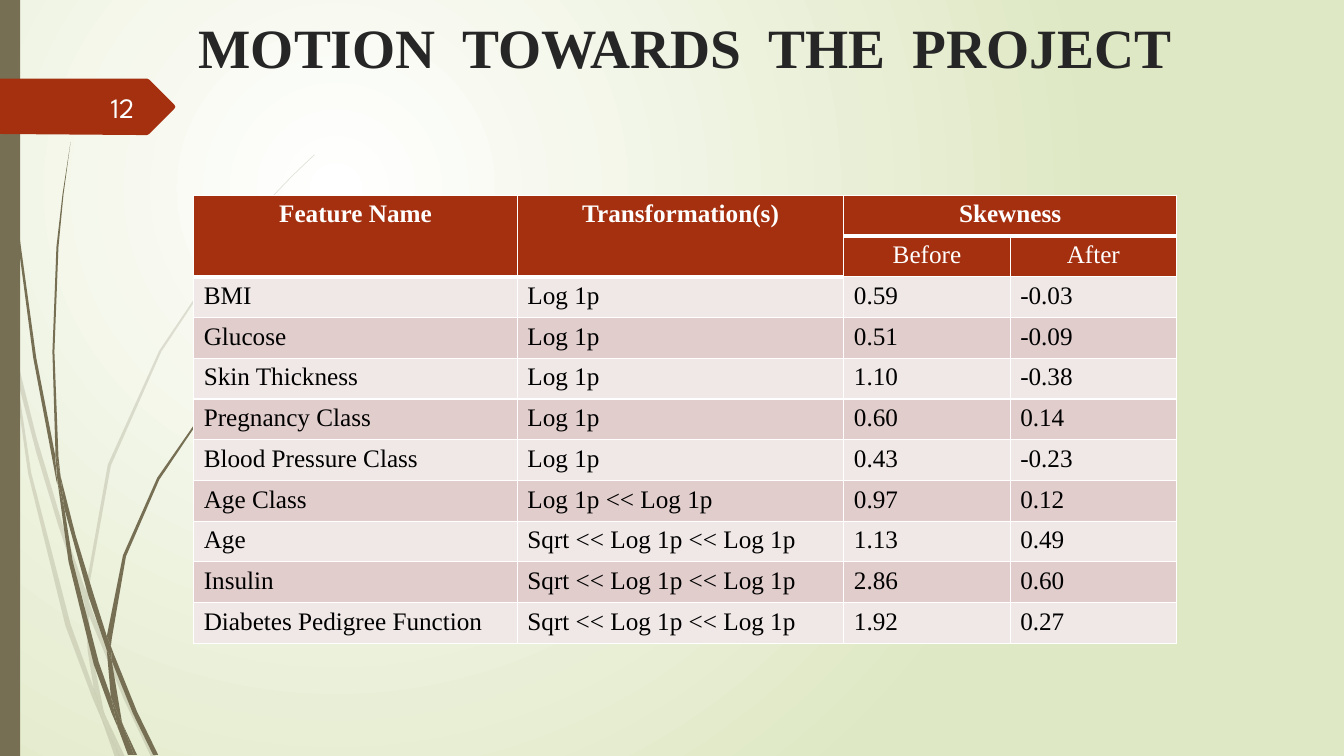
"""Build the skewness table slide with its grass backdrop and page tag."""
import dataclasses

import lxml.etree
import pptx
import pptx.dml.color
import pptx.enum.shapes
import pptx.enum.text
import pptx.oxml
import pptx.oxml.ns
import pptx.util

Pt = pptx.util.Pt
RGB = pptx.dml.color.RGBColor.from_string
qn = pptx.oxml.ns.qn
ALIGN = pptx.enum.text.PP_ALIGN
MIDDLE = pptx.enum.text.MSO_ANCHOR.MIDDLE


@dataclasses.dataclass(frozen=True)
class Theme:
    white: str = "FFFFFF"
    glow: str = "DFE8C4"
    grass: str = "766F54"
    rust: str = "A53010"
    bands: tuple = ("F0E8E7", "E1CDCC")
    ink: str = "000000"
    heading: str = "262626"
    number: str = "FEFFFF"
    serif: str = "Times New Roman"
    sans: str = "League Spartan"
    title_size: float = 39.6
    number_size: float = 20
    table_size: float = 18


theme = Theme()


def write(frame, text, size, color, font=theme.serif, bold=False, align=ALIGN.LEFT):
    line = frame.paragraphs[0]
    line.alignment = align
    run = line.add_run()
    run.text = text
    run.font.name = font
    run.font.size = Pt(size)
    run.font.bold = bold
    run.font.color.rgb = RGB(color)


def outline(points, color, opacity=100):
    builder = slide.shapes.build_freeform(*points[0], scale=Pt(0.72))
    builder.add_line_segments(points[1:], close=True)
    figure = builder.convert_to_shape()
    figure.shadow.inherit = False
    figure.line.fill.background()
    figure.fill.solid()
    figure.fill.fore_color.rgb = RGB(color)
    if opacity < 100:
        tint = figure._element.spPr.find(qn("a:solidFill"))[0]
        lxml.etree.SubElement(tint, qn("a:alpha"), val=str(opacity * 1000))


deck = pptx.Presentation()
deck.slide_width = Pt(960)
deck.slide_height = Pt(540)
slide = deck.slides.add_slide(deck.slide_layouts[5])

backdrop = slide.background.fill
backdrop.gradient()
for stop, color in zip(backdrop.gradient_stops, (theme.white, theme.glow)):
    stop.color.rgb = RGB(color)
gradient = slide.background._cSld.find(".//" + qn("a:gradFill"))
linear = gradient.find(qn("a:lin"))
radial = lxml.etree.Element(qn("a:path"), {"path": "circle"})
lxml.etree.SubElement(radial, qn("a:fillToRect"), l="50000", t="50000", r="100000", b="100000")
gradient.replace(linear, radial)

pale_blades = [
    [(11, 350), (9, 322), (0, 282), (0, 299), (10, 344)],
    [(58, 522), (84, 599), (85, 586), (62, 520), (36, 433), (14, 345), (17, 376), (36, 449)],
    [(92, 607), (88, 596), (88, 610), (123, 694), (150, 751), (155, 751), (127, 692)],
    [(119, 751), (124, 751), (105, 711)],
    [(93, 683), (70, 619), (31, 469), (17, 376), (11, 350), (28, 470), (65, 621), (92, 693),
     (101, 714), (99, 707)],
    [(84, 599), (87, 646), (93, 683), (96, 692), (105, 711), (103, 706), (91, 646), (88, 610),
     (88, 608)],
    [(88, 584), (110, 462), (160, 349), (229, 245), (268, 198), (290, 175), (312, 154), (312, 153),
     (289, 175), (268, 197), (228, 244), (158, 348), (107, 461), (85, 584), (85, 586), (88, 596)],
    [(101, 714), (114, 751), (119, 751)],
    [(88, 608), (88, 610), (88, 596), (85, 586), (84, 599)],
    [(96, 692), (93, 683), (99, 707), (101, 714), (119, 751), (105, 711)],
]
dark_blades = [
    [(7, 110), (17, 233), (33, 355), (56, 477), (57, 481), (55, 457), (55, 453), (36, 355),
     (19, 232), (8, 109), (5, 48), (4, 0), (3, 0), (4, 48)],
    [(88, 592), (106, 645), (106, 633), (106, 631), (93, 590), (75, 531), (60, 472), (64, 505)],
    [(113, 649), (110, 641), (111, 656), (132, 708), (152, 749), (157, 749), (136, 706)],
    [(110, 691), (98, 657), (72, 556), (64, 505), (57, 477), (68, 557), (93, 659), (111, 708),
     (117, 722), (116, 717)],
    [(60, 472), (58, 453), (54, 349), (58, 245), (63, 193), (70, 141), (62, 193), (56, 245),
     (52, 349), (55, 449)],
    [(133, 749), (136, 749), (122, 719)],
    [(57, 477), (64, 505), (60, 472), (55, 449), (55, 453)],
    [(111, 633), (125, 552), (158, 476), (205, 406), (231, 374), (245, 359), (261, 344), (260, 344),
     (245, 358), (231, 373), (204, 405), (156, 474), (122, 551), (106, 631), (110, 641)],
    [(117, 722), (127, 749), (131, 749)],
    [(106, 645), (110, 691), (116, 706), (122, 719), (121, 716), (111, 656), (109, 651)],
    [(106, 645), (109, 651), (111, 656), (110, 641), (106, 631), (106, 633)],
    [(116, 706), (110, 691), (116, 717), (117, 722), (130, 749), (133, 749), (122, 719)],
]
for blades, opacity in ((pale_blades, 20), (dark_blades, 100)):
    for blade in blades:
        outline(blade, theme.grass, opacity)

stem = slide.shapes.add_shape(pptx.enum.shapes.MSO_SHAPE.RECTANGLE, 0, 0, Pt(14.4), Pt(540))
stem.shadow.inherit = False
stem.fill.solid()
stem.fill.fore_color.rgb = RGB(theme.grass)
stem.line.fill.background()

page_tag = [(0, 78), (146, 78), (148, 79), (173, 104), (174, 106), (173, 108), (148, 133),
            (146, 134), (136, 134), (0, 133)]
outline(page_tag, theme.rust)

features = [
    ("BMI", "Log 1p", "0.59", "-0.03"),
    ("Glucose", "Log 1p", "0.51", "-0.09"),
    ("Skin Thickness", "Log 1p", "1.10", "-0.38"),
    ("Pregnancy Class", "Log 1p", "0.60", "0.14"),
    ("Blood Pressure Class", "Log 1p", "0.43", "-0.23"),
    ("Age Class", "Log 1p << Log 1p", "0.97", "0.12"),
    ("Age", "Sqrt << Log 1p << Log 1p", "1.13", "0.49"),
    ("Insulin", "Sqrt << Log 1p << Log 1p", "2.86", "0.60"),
    ("Diabetes Pedigree Function", "Sqrt << Log 1p << Log 1p", "1.92", "0.27"),
]
headings = [("Feature Name", "Transformation(s)", "Skewness", ""), ("", "", "Before", "After")]
rows = headings + features
skewness = slide.shapes.add_table(len(rows), 4, Pt(138.4), Pt(139.6), Pt(702), Pt(320.1)).table
skewness.first_row = False
skewness.horz_banding = False
for column, width in zip(skewness.columns, (231.2, 233.2, 118.8, 118.8)):
    column.width = Pt(width)
for row in skewness.rows:
    row.height = Pt(29.1)
for top, left, bottom, right in ((0, 0, 1, 0), (0, 1, 1, 1), (0, 2, 0, 3)):
    skewness.cell(top, left).merge(skewness.cell(bottom, right))

for r, entries in enumerate(rows):
    heading = r < len(headings)
    for c, entry in enumerate(entries):
        cell = skewness.cell(r, c)
        edges = cell._tc.get_or_add_tcPr()
        for side in "LRTB":
            thick = (side == "B" and (r == 0 or r == 1 and c < 2)) or (side == "T" and r == 1 and c > 1)
            width = Pt(3 if thick else 1)
            edge = lxml.etree.SubElement(edges, qn("a:ln" + side), w=str(width))
            paint = lxml.etree.SubElement(edge, qn("a:solidFill"))
            lxml.etree.SubElement(paint, qn("a:srgbClr"), val=theme.white)
        cell.fill.solid()
        cell.fill.fore_color.rgb = RGB(theme.rust if heading else theme.bands[r % 2])
        if entry:
            write(cell.text_frame, entry, theme.table_size, theme.white if heading else theme.ink,
                  bold=r == 0, align=ALIGN.CENTER if heading else ALIGN.LEFT)

title = slide.shapes.title
title.left, title.top, title.width, title.height = Pt(126), Pt(0.7), Pt(727.2), Pt(64.8)
title.text_frame.vertical_anchor = MIDDLE
write(title.text_frame, "MOTION  TOWARDS  THE  PROJECT", theme.title_size, theme.heading,
      bold=True, align=ALIGN.CENTER)

page_number = slide.shapes.add_textbox(Pt(41.8), Pt(61.9), Pt(61.2), Pt(28.8)).text_frame
page_number.word_wrap = True
page_number.vertical_anchor = MIDDLE
write(page_number, "12", theme.number_size, theme.number, font=theme.sans, align=ALIGN.RIGHT)

deck.save("out.pptx")
